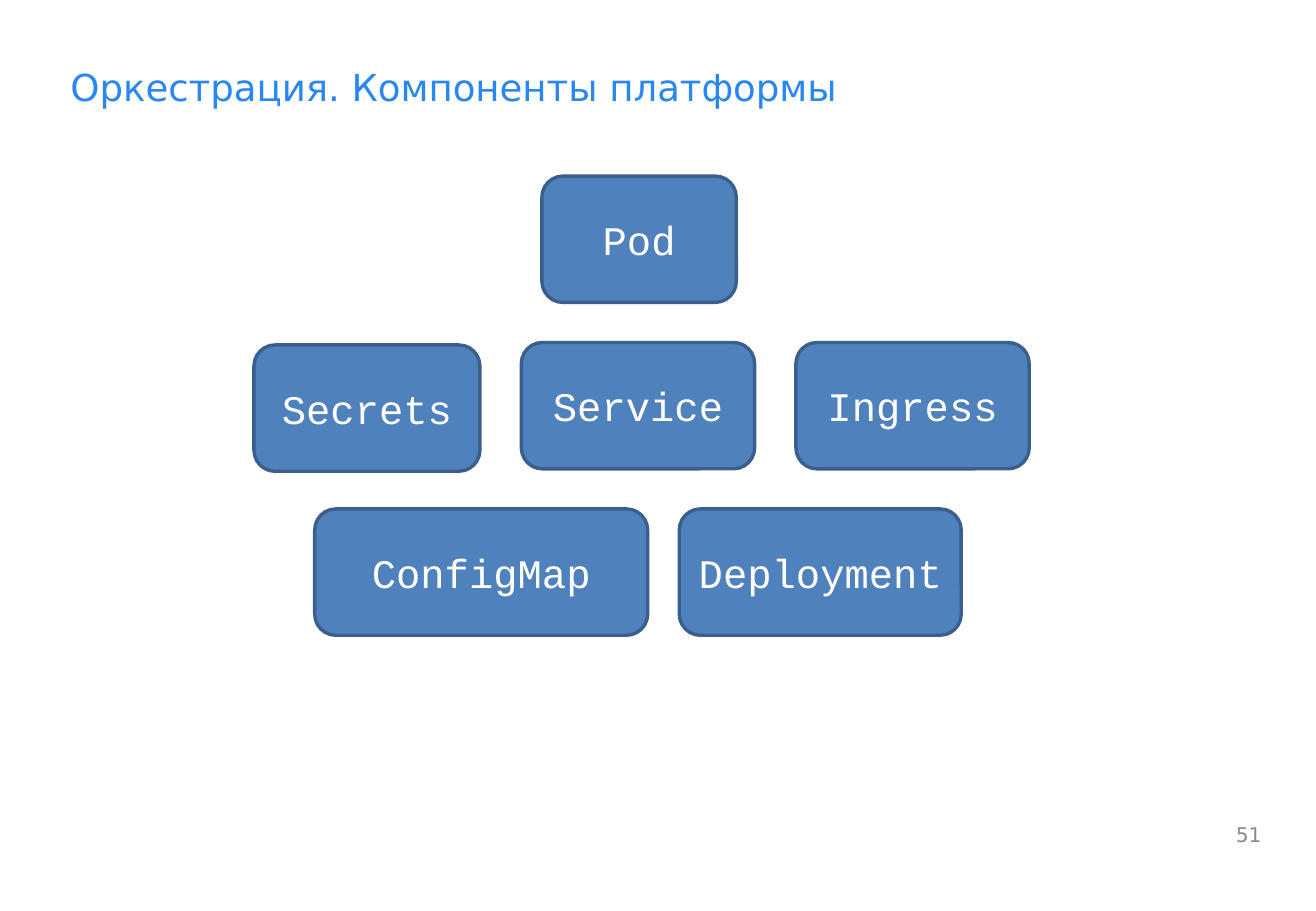
from pptx import Presentation
from pptx.dml.color import RGBColor
from pptx.enum.shapes import MSO_SHAPE
from pptx.enum.text import MSO_ANCHOR, MSO_AUTO_SIZE, PP_ALIGN
from pptx.util import Inches, Pt

TITLE_BLUE = RGBColor(0x28, 0x87, 0xF0)
BOX_FILL = RGBColor(0x4F, 0x81, 0xBD)
BOX_EDGE = RGBColor(0x3A, 0x5F, 0x8C)
WHITE = RGBColor(0xFF, 0xFF, 0xFF)
GREY = RGBColor(0x8A, 0x8A, 0x8A)

SANS = "DejaVu Sans"
MONO = "Courier New"

SLIDE_WIDTH, SLIDE_HEIGHT = 10.83, 7.5
ROW_PITCH = 1.37
BOX_HEIGHT = 1.04

COMPONENT_ROWS = [
    (2.37, 0, [("Pod", 1.6, 0)]),
    (0, 0.34, [("Secrets", 1.86, 0.02), ("Service", 1.92, 0), ("Ingress", 1.92, 0)]),
    (0.5, 0.26, [("ConfigMap", 2.74, 0), ("Deployment", 2.32, 0)]),
]


def write_text(holder, text, *, font, size, color, align=PP_ALIGN.LEFT,
               anchor=MSO_ANCHOR.TOP, insets=(0, 0, 0, 0), wrap=True):
    frame = holder.text_frame
    frame.auto_size = MSO_AUTO_SIZE.NONE
    frame.word_wrap = wrap
    frame.vertical_anchor = anchor
    (frame.margin_left, frame.margin_top,
     frame.margin_right, frame.margin_bottom) = map(Inches, insets)
    paragraph = frame.paragraphs[0]
    paragraph.alignment = align
    run = paragraph.add_run()
    run.text = text
    run.font.name = font
    run.font.size = Pt(size)
    run.font.color.rgb = color


def place_title(slide, left, top, width, height):
    title = slide.shapes.title
    title.left, title.top = Inches(left), Inches(top)
    title.width, title.height = Inches(width), Inches(height)
    write_text(title, "Оркестрация. Компоненты платформы", font=SANS, size=22,
               color=TITLE_BLUE, insets=(0.01, 0.01, 0, 0))


def draw_component(slide, label, left, top, width, height):
    component = slide.shapes.add_shape(
        MSO_SHAPE.ROUNDED_RECTANGLE,
        Inches(left), Inches(top), Inches(width), Inches(height))
    component.shadow.inherit = False
    component.fill.solid()
    component.fill.fore_color.rgb = BOX_FILL
    component.line.color.rgb = BOX_EDGE
    component.line.width = Pt(2)
    write_text(component, label, font=MONO, size=24, color=WHITE,
               align=PP_ALIGN.CENTER, anchor=MSO_ANCHOR.MIDDLE,
               insets=(0.1, 0.05, 0.1, 0.05))


def draw_component_map(slide, left, top):
    for row, (indent, gap, components) in enumerate(COMPONENT_ROWS):
        box_left = left + indent
        for label, width, drop in components:
            draw_component(slide, label, box_left,
                           top + row * ROW_PITCH + drop, width, BOX_HEIGHT)
            box_left += width + gap


def place_page_number(slide, left, top, width, height):
    page_number = slide.shapes.add_textbox(
        Inches(left), Inches(top), Inches(width), Inches(height))
    write_text(page_number, "51", font=SANS, size=12, color=GREY,
               insets=(0.04, 0, 0, 0), wrap=False)


def main():
    deck = Presentation()
    deck.slide_width = Inches(SLIDE_WIDTH)
    deck.slide_height = Inches(SLIDE_HEIGHT)
    slide = deck.slides.add_slide(deck.slide_layouts.get_by_name("Title Only"))
    place_title(slide, 0.57, 0.52, 7.66, 0.38)
    draw_component_map(slide, 2.09, 1.45)
    place_page_number(slide, 10.13, 6.77, 0.29, 0.4)
    deck.save("out.pptx")


if __name__ == "__main__":
    main()
